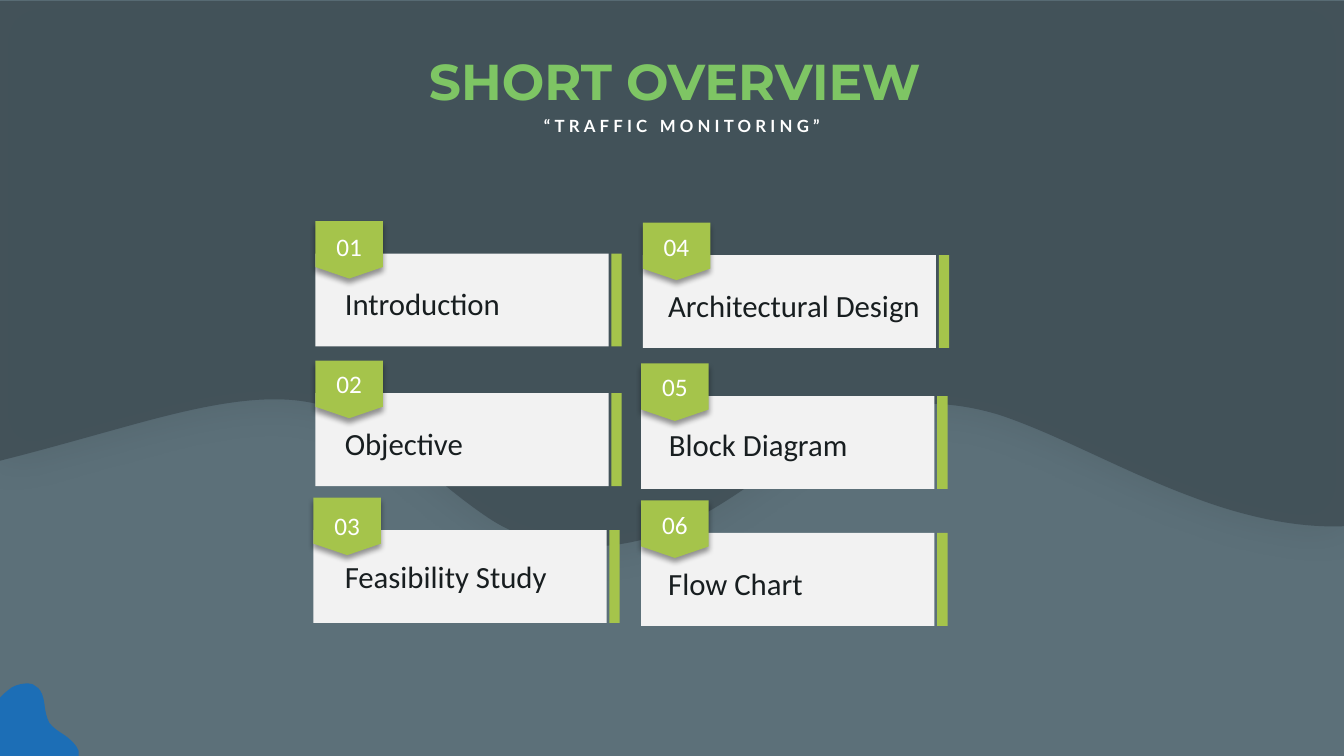
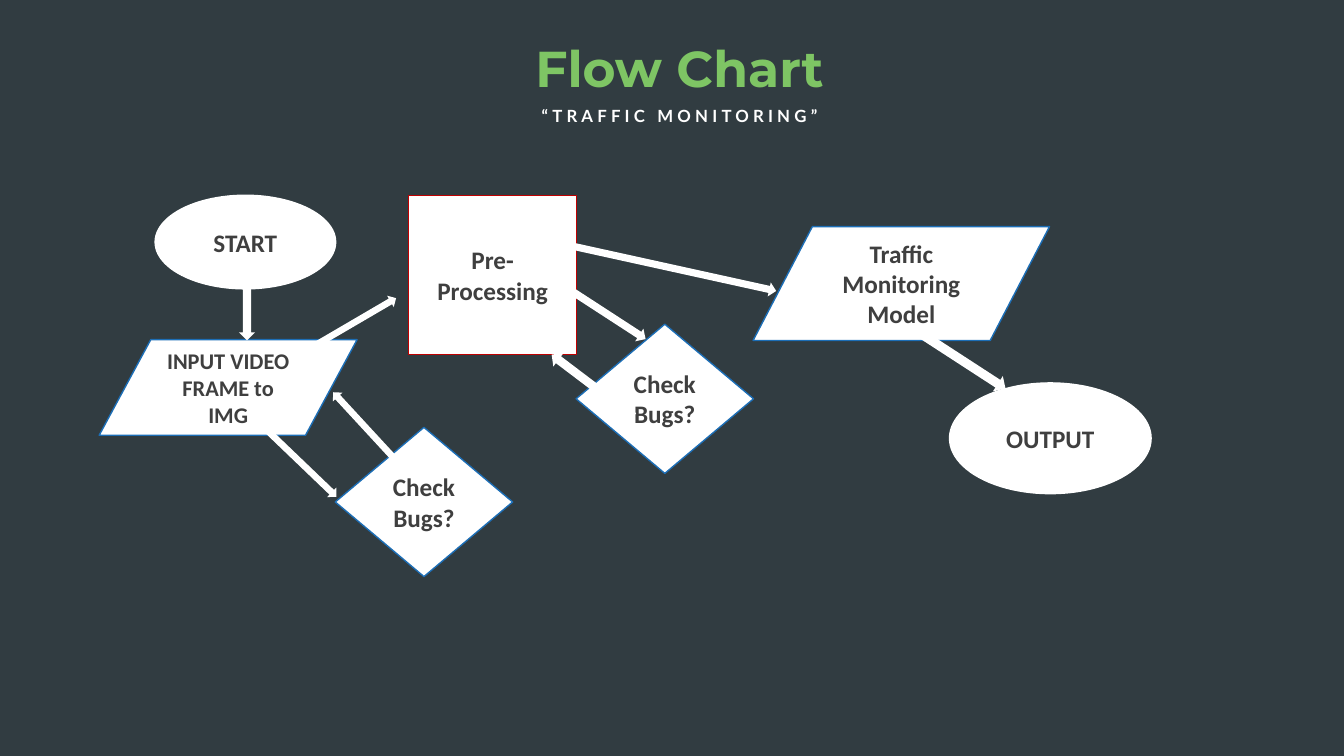
import pptx
import pptx.util
import pptx.dml.color
import pptx.enum.shapes
import pptx.enum.text
import pptx.oxml
import pptx.oxml.ns

Cm = pptx.util.Cm
Pt = pptx.util.Pt
RGBColor = pptx.dml.color.RGBColor
SHAPE = pptx.enum.shapes.MSO_SHAPE
ALIGN = pptx.enum.text.PP_ALIGN
ANCHOR = pptx.enum.text.MSO_ANCHOR

SLATE = RGBColor(0x5C, 0x70, 0x79)
WAVE = RGBColor(0x42, 0x51, 0x58)
NIGHT = RGBColor(0x31, 0x3C, 0x41)
TITLE_GREEN = RGBColor(0x7E, 0xC5, 0x64)
LIME = RGBColor(0xA5, 0xC4, 0x4B)
BLUE = RGBColor(0x1C, 0x6E, 0xB6)
RED = RGBColor(0xC0, 0x00, 0x00)
PANEL = RGBColor(0xF2, 0xF2, 0xF2)
INK = RGBColor(0x18, 0x1E, 0x20)
CHARCOAL = RGBColor(0x3F, 0x3F, 0x3F)
WHITE = RGBColor(0xFF, 0xFF, 0xFF)
NAMESPACE = pptx.oxml.ns.nsdecls("a")


def write_text(shape, text, size, color, font="Calibri", bold=False, align=ALIGN.CENTER,
               anchor=ANCHOR.MIDDLE, wrap=True, insets=(0.25, 0.13, 0.25, 0.13),
               line_spacing=1.0, tracking=0):
    frame = shape.text_frame
    frame.word_wrap = wrap
    frame.auto_size = pptx.enum.text.MSO_AUTO_SIZE.NONE
    frame.vertical_anchor = anchor
    (frame.margin_left, frame.margin_top,
     frame.margin_right, frame.margin_bottom) = [Cm(inset) for inset in insets]
    paragraph = frame.paragraphs[0]
    paragraph.alignment = align
    paragraph.line_spacing = line_spacing
    run = paragraph.add_run()
    run.text = text
    run.font.name = font
    run.font.size = Pt(size)
    run.font.bold = bold
    run.font.color.rgb = color
    if tracking:
        run._r.get_or_add_rPr().set("spc", str(tracking * 100))


def paint(shape, fill, line=None, opacity=None, shadow=None):
    shape.shadow.inherit = False
    shape.fill.solid()
    shape.fill.fore_color.rgb = fill
    if line is None:
        shape.line.fill.background()
    else:
        shape.line.color.rgb = line
        shape.line.width = Pt(1)
    properties = shape._element.spPr
    if opacity:
        color = properties.find(".//" + pptx.oxml.ns.qn("a:srgbClr"))
        color.append(pptx.oxml.parse_xml(f'<a:alpha {NAMESPACE} val="{opacity * 1000}"/>'))
    if shadow:
        alpha, blur, distance = shadow
        properties.find(pptx.oxml.ns.qn("a:effectLst")).append(pptx.oxml.parse_xml(
            f'<a:outerShdw {NAMESPACE} blurRad="{Pt(blur)}" dist="{Pt(distance)}" '
            f'dir="5400000" algn="ctr" rotWithShape="0"><a:srgbClr val="000000">'
            f'<a:alpha val="{alpha * 1000}"/></a:srgbClr></a:outerShdw>'))


presentation = pptx.Presentation()
presentation.slide_width = Cm(33.87)
presentation.slide_height = Cm(19.05)

headers = [
    ("SHORT OVERVIEW", SLATE, 10.26, 1.14, 12.76, 2.74),
    ("Flow Chart", NIGHT, 10.38, 0.81, 12.7, 2.49),
]
slides = []
for heading, background, title_left, title_top, subtitle_left, subtitle_top in headers:
    slide = presentation.slides.add_slide(presentation.slide_layouts[5])
    slide.background.fill.solid()
    slide.background.fill.fore_color.rgb = background
    title = slide.shapes.title
    title.left, title.top = Cm(title_left), Cm(title_top)
    title.width, title.height = Cm(13.49), Cm(1.8)
    write_text(title, heading, 36, TITLE_GREEN, font="Montserrat", bold=True,
               anchor=ANCHOR.TOP, wrap=False)
    subtitle = slide.shapes.add_textbox(Cm(subtitle_left), Cm(subtitle_top), Cm(8.86), Cm(0.81))
    write_text(subtitle, "“TRAFFIC MONITORING”", 12, WHITE, font="Lato", bold=True,
               anchor=ANCHOR.TOP, line_spacing=1.1, tracking=3)
    slides.append(slide)
overview, flow_chart = slides

wave_outline = [
    [(14.99, 13.77)],
    [(14.05, 13.79), (13.16, 13.59), (12.4, 13.11)],
    [(10.8, 12.07), (9.68, 10.64), (8.1, 10.21)],
    [(6.76, 9.83), (5, 10.24), (3.1, 10.77)],
    [(2.08, 11.05), (1.04, 11.35), (0, 11.61)],
    [(0, 0.03)],
    [(33.87, 0.03)],
    [(33.87, 13.26)],
    [(32.72, 13.31), (31.39, 13.03), (30.12, 12.55)],
    [(28.32, 11.89), (26.72, 10.97), (25.2, 10.46)],
    [(23.9, 10.06), (22.56, 10.06), (21.46, 10.59)],
    [(20.22, 11.18), (19.1, 12.19), (17.7, 12.98)],
    [(16.87, 13.46), (15.93, 13.74), (14.99, 13.77)],
]
corner_outline = [
    [(0.71, 17.22)],
    [(0.58, 17.22), (0.43, 17.25), (0.3, 17.32)],
    [(0.23, 17.37), (0.13, 17.45), (0.05, 17.53)],
    [(0, 17.58)],
    [(0, 19.05)],
    [(1.98, 19.05)],
    [(1.98, 19)],
    [(1.98, 18.97), (1.98, 18.95), (1.98, 18.92)],
    [(1.93, 18.77), (1.78, 18.64), (1.65, 18.54)],
    [(1.5, 18.44), (1.35, 18.36), (1.24, 18.21)],
    [(1.17, 18.06), (1.14, 17.93), (1.12, 17.73)],
    [(1.09, 17.58), (1.07, 17.4), (0.91, 17.3)],
    [(0.86, 17.25), (0.79, 17.22), (0.71, 17.22)],
]
for outline, fill, opacity, shadow in [
    (corner_outline, BLUE, None, None),
    (wave_outline, WAVE, 95, (10, 32, 0)),
]:
    corners = [(Cm(segment[-1][0]), Cm(segment[-1][1])) for segment in outline]
    builder = overview.shapes.build_freeform(*corners[0])
    builder.add_line_segments(corners[1:], close=True)
    backdrop = builder.convert_to_shape()
    edges = list(backdrop._element.iter(pptx.oxml.ns.qn("a:lnTo")))
    for edge, segment in zip(edges, outline[1:]):
        if len(segment) == 3:
            points = "".join(f'<a:pt x="{Cm(x) - backdrop.left}" y="{Cm(y) - backdrop.top}"/>'
                             for x, y in segment)
            edge.getparent().replace(edge, pptx.oxml.parse_xml(
                f"<a:cubicBezTo {NAMESPACE}>{points}</a:cubicBezTo>"))
    paint(backdrop, fill, opacity=opacity, shadow=shadow)
    overview.shapes._spTree.insert(2, backdrop._element)

cards = [
    ("Introduction", 7.95, 6.39, 0.74, 0.15, 0.14),
    ("Objective", 7.95, 9.91, 0.74, 0.2, 0),
    ("Feasibility Study", 7.9, 13.36, 0.79, 0, 0.25),
    ("Architectural Design", 16.2, 6.43, 0.64, 0.18, 0.02),
    ("Block Diagram", 16.16, 9.98, 0.7, 0.08, 0.02),
    ("Flow Chart", 16.16, 13.43, 0.68, 0.18, 0.07),
]
for number, (topic, left, top, indent, label_drop, number_drop) in enumerate(cards, start=1):
    panel = overview.shapes.add_shape(SHAPE.RECTANGLE, Cm(left), Cm(top), Cm(7.39), Cm(2.34))
    paint(panel, PANEL)
    write_text(panel, topic, 22, INK, align=ALIGN.LEFT, insets=(indent, label_drop, 0, 0))
    stripe = overview.shapes.add_shape(
        SHAPE.RECTANGLE, Cm(left + 7.46), Cm(top), Cm(0.26), Cm(2.34))
    paint(stripe, LIME)
    badge = overview.shapes.add_shape(
        SHAPE.FLOWCHART_OFFPAGE_CONNECTOR, Cm(left), Cm(top - 0.82), Cm(1.7), Cm(1.45))
    paint(badge, LIME, shadow=(40, 4, 3))
    write_text(badge, f"{number:02}", 18, WHITE, insets=(0, number_drop, 0, 0))

steps = [
    (SHAPE.OVAL, "START", 18, WHITE, 3.91, 4.92, 4.55, 2.36),
    (SHAPE.FLOWCHART_DATA, "INPUT VIDEO FRAME to IMG", 16, BLUE, 2.5, 8.56, 6.5, 2.41),
    (SHAPE.RECTANGLE, "Pre-Processing", 18, RED, 10.3, 4.92, 4.23, 4.02),
    (SHAPE.DIAMOND, "Check Bugs?", 18, BLUE, 14.52, 8.17, 4.47, 3.76),
    (SHAPE.FLOWCHART_DATA, "Traffic Monitoring Model", 18, BLUE, 18.98, 5.71, 7.47, 2.87),
    (SHAPE.OVAL, "OUTPUT", 18, WHITE, 23.93, 9.65, 5.08, 2.79),
    (SHAPE.DIAMOND, "Check Bugs?", 18, BLUE, 8.45, 10.77, 4.47, 3.76),
]
for kind, label, size, outline, *box in steps:
    node = flow_chart.shapes.add_shape(kind, *[Cm(length) for length in box])
    paint(node, WHITE, line=outline)
    write_text(node, label, size, CHARCOAL, bold=True)

arrows = [
    (5.4, 7.55, 1.65, 0.41, 90),
    (6.25, 11.46, 2.59, 0.33, 43.8),
    (7.98, 10.67, 2.59, 0.33, 227.3),
    (7.57, 8, 2.59, 0.33, 329.7),
    (13.89, 7.65, 2.59, 0.38, 33),
    (13.64, 9.5, 2.59, 0.43, 217.1),
    (13.84, 6.53, 5.79, 0.36, 12.4),
    (22.96, 8.86, 2.59, 0.46, 33),
]
for *box, angle in arrows:
    arrow = flow_chart.shapes.add_shape(SHAPE.RIGHT_ARROW, *[Cm(length) for length in box])
    arrow.rotation = angle
    paint(arrow, WHITE)

presentation.save("out.pptx")
